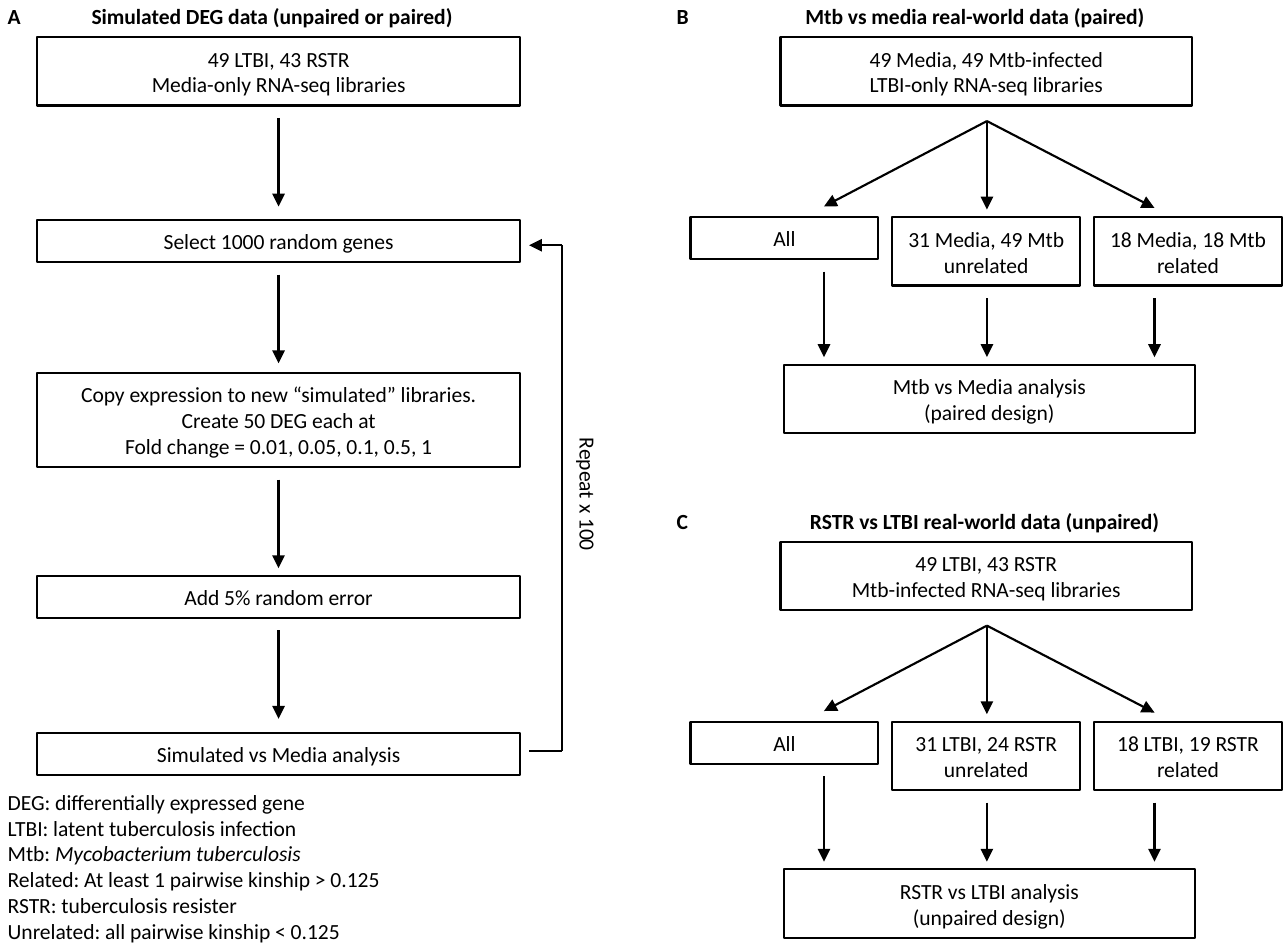
from pptx import Presentation
from pptx import util as u
from pptx.dml.color import RGBColor
from pptx.enum import shapes, text
from pptx.oxml.ns import qn
from lxml import etree

INK = {"line": "000000", "fill": "FFFFFF"}
FONT, SIZE = "Calibri", 10
ROW, ROW2, ROW3 = 0.27, 0.44, 0.61  # heights of one, two and three text lines

deck = Presentation()
deck.slide_width, deck.slide_height = u.Inches(8.3), u.Inches(6.1)
slide = deck.slides.add_slide(deck.slide_layouts[6])


def color(name):
    return RGBColor.from_string(INK[name])


def style(frame, align, bold=False):
    for para in frame.paragraphs:
        para.alignment = align
        for run in para.runs:
            run.font.name, run.font.size = FONT, u.Pt(SIZE)
            run.font.bold = bold
            run.font.color.rgb = color("line")


def box(x, y, w, h, words, edge=True):
    rect = slide.shapes.add_shape(
        shapes.MSO_SHAPE.RECTANGLE, *map(u.Inches, (x, y, w, h)))
    rect.shadow.inherit = False
    rect.fill.solid()
    rect.fill.fore_color.rgb = color("fill")
    if edge:
        rect.line.color.rgb = color("line")
        rect.line.width = u.Pt(1)
    else:
        rect.line.fill.background()
    frame = rect.text_frame
    frame.word_wrap = True
    frame.vertical_anchor = text.MSO_ANCHOR.MIDDLE
    frame.text = words
    style(frame, text.PP_ALIGN.CENTER)
    return rect


def label(x, y, w, h, words, bold=False):
    frame = slide.shapes.add_textbox(*map(u.Inches, (x, y, w, h))).text_frame
    frame.margin_left = frame.margin_right = 0
    frame.margin_top = frame.margin_bottom = 0
    frame.word_wrap = True
    frame.text = words
    style(frame, text.PP_ALIGN.LEFT, bold)
    return frame


def line(x1, y1, x2, y2, head=True):
    link = slide.shapes.add_connector(
        shapes.MSO_CONNECTOR.STRAIGHT, *map(u.Inches, (x1, y1, x2, y2)))
    link.line.color.rgb = color("line")
    link.line.width = u.Pt(1)
    if head:
        etree.SubElement(link.line._get_or_add_ln(), qn("a:tailEnd"), type="triangle")
    etree.SubElement(link._element.spPr, qn("a:effectLst"))


def heading(x, y, letter, title, indent):
    label(x + 0.05, y + 0.02, 0.2, 0.17, letter, bold=True)
    label(x + indent, y + 0.02, 2.9, 0.17, title, bold=True)


def steps(x, y, w):
    """Simulation workflow with its repeat loop."""
    heading(x, y, "A", "Simulated DEG data (unpaired or paired)", 0.59)
    left, wide = x + 0.24, w - 0.71
    flow = [
        (0.24, ROW2, "49 LTBI, 43 RSTR\nMedia-only RNA-seq libraries"),
        (1.42, ROW, "Select 1000 random genes"),
        (2.4, ROW3, "Copy expression to new “simulated” libraries. "
                    "Create 50 DEG each at\nFold change = 0.01, 0.05, 0.1, 0.5, 1"),
        (3.71, ROW, "Add 5% random error"),
        (4.72, ROW, "Simulated vs Media analysis"),
    ]
    for top, high, words in flow:
        box(left, y + top, wide, high, words)
    for top, high, _ in flow[:-1]:
        start = y + top + high + 0.08
        line(left + wide / 2, start, left + wide / 2, start + 0.57)
    # Repeat loop from the last step to gene selection
    side, low, high = x + w - 0.2, y + 4.84, y + 1.58
    line(side, low, side - 0.21, low, head=False)
    line(side, low, side, high, head=False)
    line(side, high, side - 0.21, high)
    box(side - 0.86, y + 3.05, 2.06, ROW, "Repeat x 100", edge=False).rotation = 90


def split(x, y, letter, title, indent, source, groups, result):
    """Real-world data split into three groups, then analysed."""
    heading(x, y, letter, title, indent)
    box(x + 0.72, y + 0.24, 2.65, ROW2, source)
    ends = [(1.0, 1.33), (2.05, 1.35), (3.13, 1.34)]
    for i, (words, (end, tip)) in enumerate(zip(groups, ends)):
        high = ROW2 if "\n" in words else ROW
        line(x + 2.05, y + 0.78, x + end, y + tip)
        box(x + 0.14 + 1.3 * i, y + 1.4, 1.21, high, words)
        line(x + end, y + 1.48 + high, x + end, y + 2.3)
    box(x + 0.74, y + 2.35, 2.65, ROW2, result)


def legend(x, y, w, h):
    """Abbreviations."""
    frame = label(x, y, w, h, "\n".join([
        "DEG: differentially expressed gene",
        "LTBI: latent tuberculosis infection",
        "Mtb: ",
        "Related: At least 1 pairwise kinship > 0.125",
        "RSTR: tuberculosis resister",
        "Unrelated: all pairwise kinship < 0.125"]))
    name = frame.paragraphs[2].add_run()
    name.text = "Mycobacterium tuberculosis"
    style(frame, text.PP_ALIGN.LEFT)
    name.font.italic = True


steps(0, 0, 3.82)
legend(0.05, 5.08, 2.6, 1.0)
split(4.31, 0, "B", "Mtb vs media real-world data (paired)", 0.88,
      "49 Media, 49 Mtb-infected\nLTBI-only RNA-seq libraries",
      ["All", "31 Media, 49 Mtb\nunrelated", "18 Media, 18 Mtb\nrelated"],
      "Mtb vs Media analysis\n(paired design)")
split(4.31, 3.25, "C", "RSTR vs LTBI real-world data (unpaired)", 0.91,
      "49 LTBI, 43 RSTR\nMtb-infected RNA-seq libraries",
      ["All", "31 LTBI, 24 RSTR\nunrelated", "18 LTBI, 19 RSTR\nrelated"],
      "RSTR vs LTBI analysis\n(unpaired design)")

deck.save("out.pptx")
